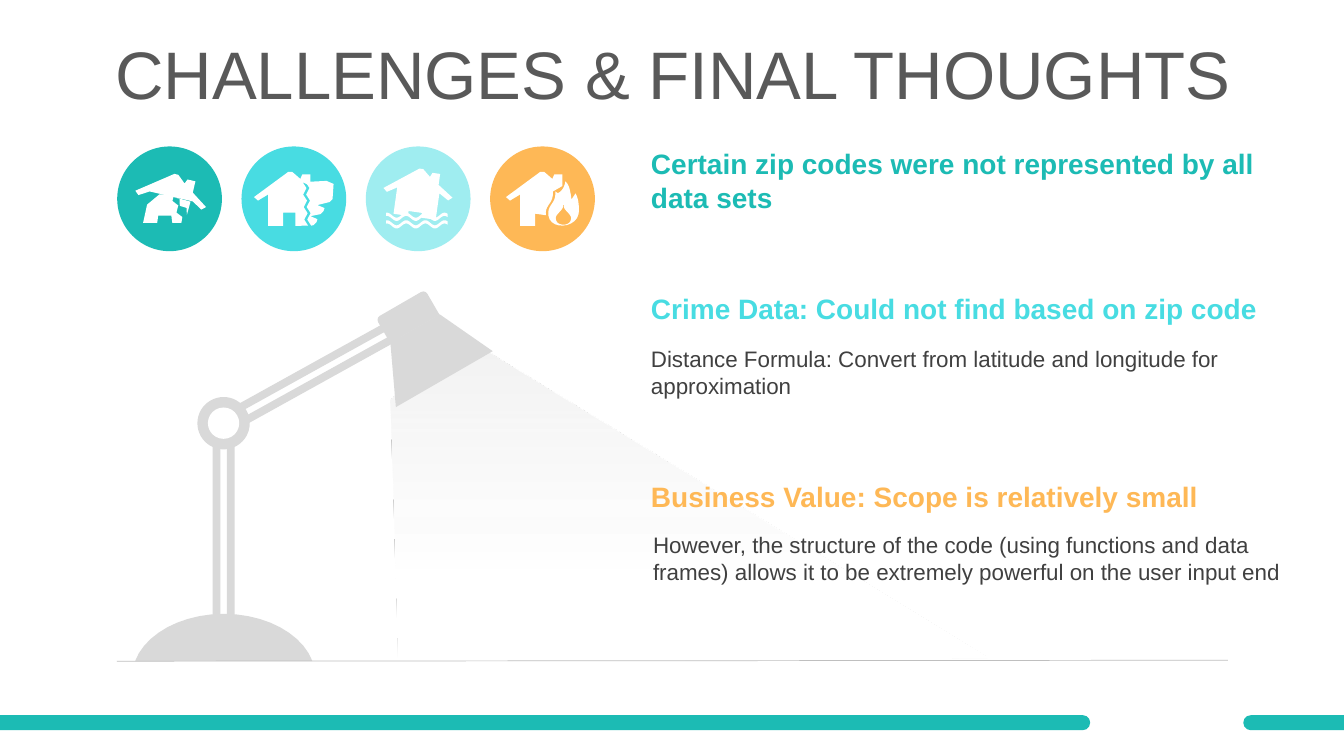
from math import cos, hypot, pi, radians, sin

from pptx import Presentation
from pptx.dml.color import RGBColor
from pptx.enum.shapes import MSO_CONNECTOR as CONN, MSO_SHAPE as SHAPE
from pptx.enum.text import MSO_ANCHOR as ANCHOR, MSO_AUTO_SIZE as AUTO, PP_ALIGN as ALIGN
from pptx.oxml import parse_xml
from pptx.oxml.ns import nsdecls
from pptx.util import Pt

COLORS = {
    "teal": "1CBBB4", "cyan": "48DCE2", "pale": "9FEDF0", "orange": "FEB856",
    "lamp": "D9D9D9", "line": "BFBFBF", "beam": "F2F2F2", "white": "FFFFFF",
    "title": "595959", "body": "404040",
}
GRID = 0.72  # points per unit of the freeform outlines
LAMP_TILT = 30


# Outline rules
def curve(*controls, steps=10):
    """Points along a cubic curve given by its four control points."""
    ts = [i / steps for i in range(steps + 1)]
    return [tuple(sum(w * v for w, v in zip(
        ((1 - t) ** 3, 3 * t * (1 - t) ** 2, 3 * t * t * (1 - t), t ** 3), axis))
        for axis in zip(*controls)) for t in ts]


def zigzag(start, end, teeth, swing):
    """Crack from start to end that swings to either side of the straight way."""
    (x1, y1), (x2, y2) = start, end
    length = hypot(x2 - x1, y2 - y1)
    nx, ny = (y1 - y2) / length, (x2 - x1) / length
    points = []
    for i in range(teeth + 1):
        t, side = i / teeth, swing * (-1) ** i
        points.append((x1 + t * (x2 - x1) + side * nx, y1 + t * (y2 - y1) + side * ny))
    return points


def mirror(points, axis=0):
    return [(2 * axis - x, y) for x, y in reversed(points)]


def place(points, x, y, scale=1.0, tilt=0):
    c, s = scale * cos(radians(tilt)), scale * sin(radians(tilt))
    return [(x + c * px - s * py, y + s * px + c * py) for px, py in points]


def left_half(ground, door):
    """Door, wall and eave up to the ridge, which lies at (0, 0)."""
    wall_x, door_x, wall_top = -22, -7, 22.5
    return [(door_x, ground - door), (door_x, ground), (wall_x, ground), (wall_x, wall_top),
            (-32, 28.5), (-36, 25), (-2, 0), (2, 0)]


def chimney(left=10, width=10, top=2.5, slope=0.7):
    right = left + width
    return [(left, slope * left), (left + 2, top), (right, top), (right, slope * right)]


def house(ground, door):
    half = left_half(ground, door)
    return half + chimney() + mirror(half)[2:]


def broken_house(ground, door, edge):
    """House that ends on the right in the given edge, from roof to ground."""
    return left_half(ground, door) + chimney() + edge


def wave(top, left=383, right=444, crest=384, period=19, swing=2.5, thickness=3.2):
    upper = [(x, top + swing * (1 - cos(2 * pi * (x - crest) / period)))
             for x in range(left, right + 1)]
    return upper + [(x, y + thickness) for x, y in reversed(upper)]


def quake_icon():
    roof = place(house(22.5, 0), 175, 173, tilt=13)
    wall = [(158, 193), (146, 203), (142, 221), (156, 221), (157, 214), (170, 214),
            (171, 221), (180, 221)] + zigzag((179, 216), (171, 193), 4, 2)
    shard = zigzag((173, 194), (187, 212), 4, 2) + [(189, 200)]
    return [[roof], [wall], [shard]]


def storm_icon():
    ridge_x, ridge_y, ground, gap = 288, 170.5, 53.5, 3
    crack = zigzag((14, 10), (16, ground), 7, 1.8)
    walls = broken_house(ground, 13, crack + [(5, ground), (5, ground - 13)])
    gusts = []
    for right, top, bottom in ((43, 9, 30), (34, 33, 42), (27, 44, 53)):
        gusts += [(right - 7, top), (right, top + 3), (right - 1, bottom - 3), (right - 4, bottom)]
    tornado = gusts + [(x + gap, y) for x, y in reversed(crack)]
    return [[place(part, ridge_x, ridge_y)] for part in (walls, tornado)]


def flood_icon():
    return [[place(house(50, 5), 418, 167.5, 0.96, 8)], [wave(211)], [wave(218.5)]]


def fire_icon():
    ridge_x, ridge_y, ground, gap = 538, 170.5, 53.5, 2.5
    left_side = curve((6, 43), (5, 32), (14, 32), (13, 19.5))
    flame = (left_side
             + curve((15, 21), (18, 21), (22, 16), (23, 9.5))    # up to the high tip
             + curve((23, 9.5), (27, 13), (28, 20), (29, 27.5))  # down to the notch
             + curve((33, 21.5), (36, 26), (37, 36), (36, 42))   # low tip, right side
             + curve((36, 42), (33, 56), (8, 58), (6, 43)))      # round base
    drop_half = curve((20.5, 33), (22, 38), (12, 42), (13.5, 47)) + curve(
        (13.5, 47), (14, 51), (18, 52.5), (21, 52.5))
    drop = drop_half + mirror(drop_half, axis=21)
    edge = [(x - gap, y) for x, y in reversed(left_side)]
    walls = broken_house(ground, 12, edge)
    return [[place(c, ridge_x, ridge_y) for c in part] for part in ([walls], [flame, drop])]


class Deck:
    font = "Arial"

    def __init__(self, width, height):
        self.prs = Presentation()
        self.prs.slide_width, self.prs.slide_height = Pt(width), Pt(height)
        self.shapes = self.prs.slides.add_slide(self.prs.slide_layouts[6]).shapes

    def color(self, name):
        return RGBColor.from_string(COLORS[name])

    def paint(self, s, color):
        s.shadow.inherit = False
        s.fill.solid()
        s.fill.fore_color.rgb = self.color(color)
        s.line.fill.background()
        return s

    def shape(self, kind, cx, cy, w, h, color, rotation=0, adjust=()):
        """Preset shape around its centre."""
        s = self.shapes.add_shape(kind, Pt(cx - w / 2), Pt(cy - h / 2), Pt(w), Pt(h))
        s.rotation = rotation
        for i, value in enumerate(adjust):
            s.adjustments[i] = value
        return self.paint(s, color)

    def outline(self, contours, color):
        fb = None
        for contour in contours:
            pts = [(x * GRID * 100, y * GRID * 100) for x, y in contour]
            if fb is None:
                fb = self.shapes.build_freeform(*pts[0], scale=Pt(0.01))
            else:
                fb.move_to(*pts[0])
            fb.add_line_segments(pts[1:], close=True)
        return self.paint(fb.convert_to_shape(), color)

    def gradient(self, s, stops, angle):
        gs = "".join(
            f'<a:gs pos="{pos * 1000}"><a:srgbClr val="{COLORS[c]}">'
            f'<a:alpha val="{alpha * 1000}"/></a:srgbClr></a:gs>' for pos, c, alpha in stops)
        fill = parse_xml(f'<a:gradFill {nsdecls("a")} rotWithShape="1"><a:gsLst>{gs}</a:gsLst>'
                         f'<a:lin ang="{angle * 60000}" scaled="0"/></a:gradFill>')
        sp_pr = s.element.spPr
        sp_pr.replace(sp_pr.find("{*}solidFill"), fill)

    def line(self, x1, y1, x2, y2, color, width):
        c = self.shapes.add_connector(CONN.STRAIGHT, Pt(x1), Pt(y1), Pt(x2), Pt(y2))
        c.line.color.rgb, c.line.width = self.color(color), Pt(width)
        c.element.spPr.append(parse_xml(f'<a:effectLst {nsdecls("a")}/>'))

    def text(self, text, x, y, w, h, size, color, bold=False, anchor=ANCHOR.MIDDLE):
        tf = self.shapes.add_textbox(Pt(x), Pt(y), Pt(w), Pt(h)).text_frame
        tf.word_wrap, tf.auto_size, tf.vertical_anchor = True, AUTO.NONE, anchor
        p = tf.paragraphs[0]
        p.text = text
        font = p.runs[0].font
        font.name, font.size, font.bold = self.font, Pt(size), bold
        font.color.rgb = self.color(color)
        return p


def main():
    deck = Deck(960, 540)

    # Footer bars, rounded at the gap between them
    for cx, length, rotation in ((389.2, 779, 90), (924.1, 72, 270)):
        deck.shape(SHAPE.ROUND_2_SAME_RECTANGLE, cx, 516.2, 10.8, length, "teal", rotation, (0.5, 0))

    # Title
    p = deck.text("CHALLENGES & FINAL THOUGHTS", 25.2, 27.2, 911.5, 56.9, 48, "title")
    p.alignment, p.line_spacing, p.space_before = ALIGN.CENTER, 0.9, Pt(10)

    # Light beam
    beam = deck.outline([[(387, 397), (395, 656), (980, 652), (480, 347), (405, 379)]], "beam")
    deck.gradient(beam, [(0, "white", 20), (27, "white", 80), (100, "beam", 100)], 270)

    # Lamp: arm, post, joint, foot, shade and cap
    for cx, cy, angle in ((218.1, 265.3, 61), (223.1, 273.9, 61), (154.7, 373.3, 0), (164.8, 373.3, 0)):
        deck.shape(SHAPE.RECTANGLE, cx, cy, 5.6, 141.8, "lamp", angle)
    for size, color in ((37.4, "lamp"), (22.4, "white")):
        deck.shape(SHAPE.OVAL, 159.7, 302.3, size, size, color)
    foot = curve((222, 609), (264, 609), (300, 629), (310, 656))
    deck.outline([mirror(foot, axis=222) + foot], "lamp")
    deck.shape(SHAPE.TRAPEZOID, 306.9, 252.7, 79.9, 41.8, "lamp", -LAMP_TILT, (0.47,))
    deck.shape(SHAPE.ROUND_2_SAME_RECTANGLE, 291.2, 226, 40.6, 20.6, "lamp", -LAMP_TILT, (0.16, 0))

    # Hazard circles
    for i, color in enumerate(("teal", "cyan", "pale", "orange")):
        deck.shape(SHAPE.OVAL, 121.1 + 88.8 * i, 142, 74.8, 74.8, color)

    # Messages
    for text, y, h, color in (
            ("Certain zip codes were not represented by all data sets", 100.8, 55.7, "teal"),
            ("Crime Data: Could not find based on zip code", 204.8, 31.5, "cyan"),
            ("Business Value: Scope is relatively small", 338.7, 31.5, "orange")):
        deck.text(text, 457.9, y, 468, h, 20, color, bold=True)
    deck.text("Distance Formula: Convert from latitude and longitude for approximation",
              457.9, 242.9, 468, 46, 16, "body")
    deck.text("However, the structure of the code (using functions and data frames) "
              "allows it to be extremely powerful on the user input end",
              459.4, 375.8, 463.7, 65.5, 16, "body", anchor=ANCHOR.TOP)

    # Table line
    deck.line(83.5, 472.3, 877, 471.6, "line", 0.5)

    # Hazard icons
    for icon in (quake_icon, storm_icon, flood_icon, fire_icon):
        for part in icon():
            deck.outline(part, "white")

    deck.prs.save("out.pptx")


if __name__ == "__main__":
    main()
